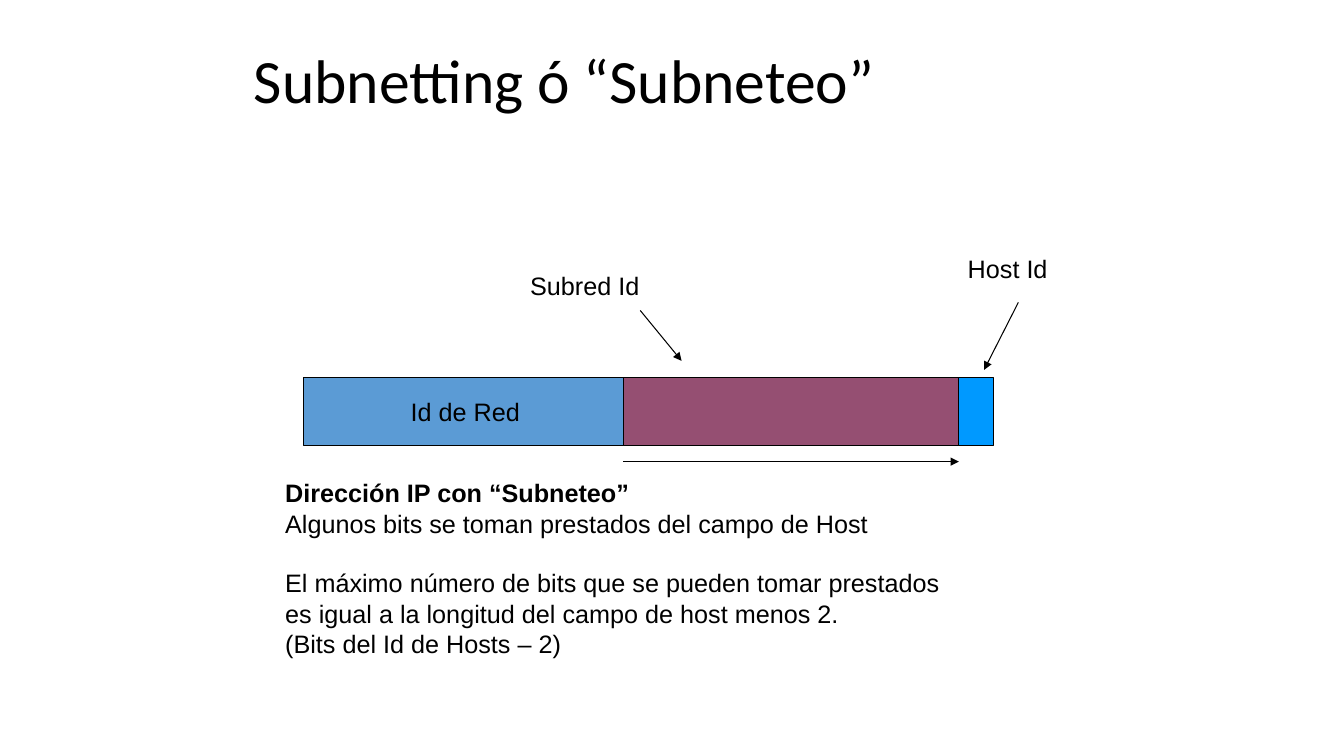
from dataclasses import dataclass

from lxml import etree
from pptx import Presentation
from pptx.dml.color import RGBColor
from pptx.enum.shapes import MSO_CONNECTOR, MSO_SHAPE
from pptx.enum.text import MSO_ANCHOR, MSO_AUTO_SIZE, PP_ALIGN
from pptx.oxml.ns import qn
from pptx.util import Pt

PX = 9144  # EMU in one px, 100 px to the inch
RECT = MSO_SHAPE.RECTANGLE
LINE = MSO_CONNECTOR.STRAIGHT
MIDDLE = MSO_ANCHOR.MIDDLE
TOP = MSO_ANCHOR.TOP
CENTER = PP_ALIGN.CENTER
FIT = MSO_AUTO_SIZE.SHAPE_TO_FIT_TEXT
FIXED = MSO_AUTO_SIZE.NONE
BLACK = "000000"


@dataclass
class Field:
    left: int
    width: int
    fill: str
    text: str = ""


@dataclass
class Row:
    text: str
    bold: bool = False
    before: int = 0


@dataclass
class Label:
    box: tuple[int, int, int, int]
    rows: list[Row]


@dataclass
class Arrow:
    start: tuple[int, int]
    end: tuple[int, int]


BAR_TOP, BAR_HIGH = 375, 67

# The host field lies beneath the other two
FIELDS = [
    Field(643, 342, "0099FF"),
    Field(301, 321, "5B9BD5", "Id de Red"),
    Field(618, 333, "954F72"),
]
LABELS = [
    Label((273, 469, 675, 192), [
        Row("Dirección IP con “Subneteo”", bold=True),
        Row("Algunos bits se toman prestados del campo de Host"),
        Row("El máximo número de bits que se pueden tomar prestados", before=21),
        Row("es igual a la longitud del campo de host menos 2."),
        Row("(Bits del Id de Hosts – 2)"),
    ]),
    Label((516, 263, 130, 40), [Row("Subred Id")]),
    Label((950, 246, 100, 40), [Row("Host Id")]),
]
ARROWS = [
    Arrow((635, 308), (676, 358)),
    Arrow((1010, 300), (976, 367)),
    Arrow((618, 458), (951, 458)),
]


def color(code: str) -> RGBColor:
    return RGBColor.from_string(code)


def scale(*sizes: int) -> list[int]:
    return [size * PX for size in sizes]


def style(item, **values) -> None:
    for name, value in values.items():
        setattr(item, name, value)


def write(par, text: str, font: str = "Arial", size: int = 18,
          bold: bool = False) -> None:
    run = par.add_run()
    run.text = text
    style(run.font, name=font, size=Pt(size), bold=bold)
    run.font.color.rgb = color(BLACK)


def stroke(line) -> None:
    line.color.rgb = color(BLACK)
    line.width = Pt(0.75)


def draw_field(slide, field: Field) -> None:
    shape = slide.shapes.add_shape(
        RECT, *scale(field.left, BAR_TOP, field.width, BAR_HIGH))
    shape.shadow.inherit = False
    shape.fill.solid()
    shape.fill.fore_color.rgb = color(field.fill)
    stroke(shape.line)
    if field.text:
        frame = shape.text_frame
        style(frame, word_wrap=False, vertical_anchor=MIDDLE)
        par = frame.paragraphs[0]
        par.alignment = CENTER
        write(par, field.text)


def draw_label(slide, label: Label) -> None:
    frame = slide.shapes.add_textbox(*scale(*label.box)).text_frame
    style(frame, word_wrap=False, auto_size=FIT, vertical_anchor=TOP)
    for index, row in enumerate(label.rows):
        par = frame.add_paragraph() if index else frame.paragraphs[0]
        par.space_before = Pt(row.before)
        write(par, row.text, bold=row.bold)


def draw_arrow(slide, arrow: Arrow) -> None:
    link = slide.shapes.add_connector(LINE, *scale(*arrow.start, *arrow.end))
    stroke(link.line)
    head = etree.SubElement(link.line._get_or_add_ln(), qn("a:tailEnd"))
    head.set("type", "triangle")
    etree.SubElement(link._element.spPr, qn("a:effectLst"))


def draw_title(slide, text: str) -> None:
    frame = slide.shapes.add_textbox(*scale(242, 33, 850, 100)).text_frame
    style(frame, word_wrap=True, auto_size=FIXED, vertical_anchor=MIDDLE)
    par = frame.paragraphs[0]
    par.line_spacing = 0.9
    write(par, text, "Calibri", 44)


def main() -> None:
    deck = Presentation()
    deck.slide_width, deck.slide_height = scale(1333, 750)
    slide = deck.slides.add_slide(deck.slide_layouts[6])

    draw_title(slide, "Subnetting ó “Subneteo”")

    # Address bar
    for field in FIELDS:
        draw_field(slide, field)

    # Captions and pointers
    for label in LABELS:
        draw_label(slide, label)
    for arrow in ARROWS:
        draw_arrow(slide, arrow)

    deck.save("out.pptx")


if __name__ == "__main__":
    main()
